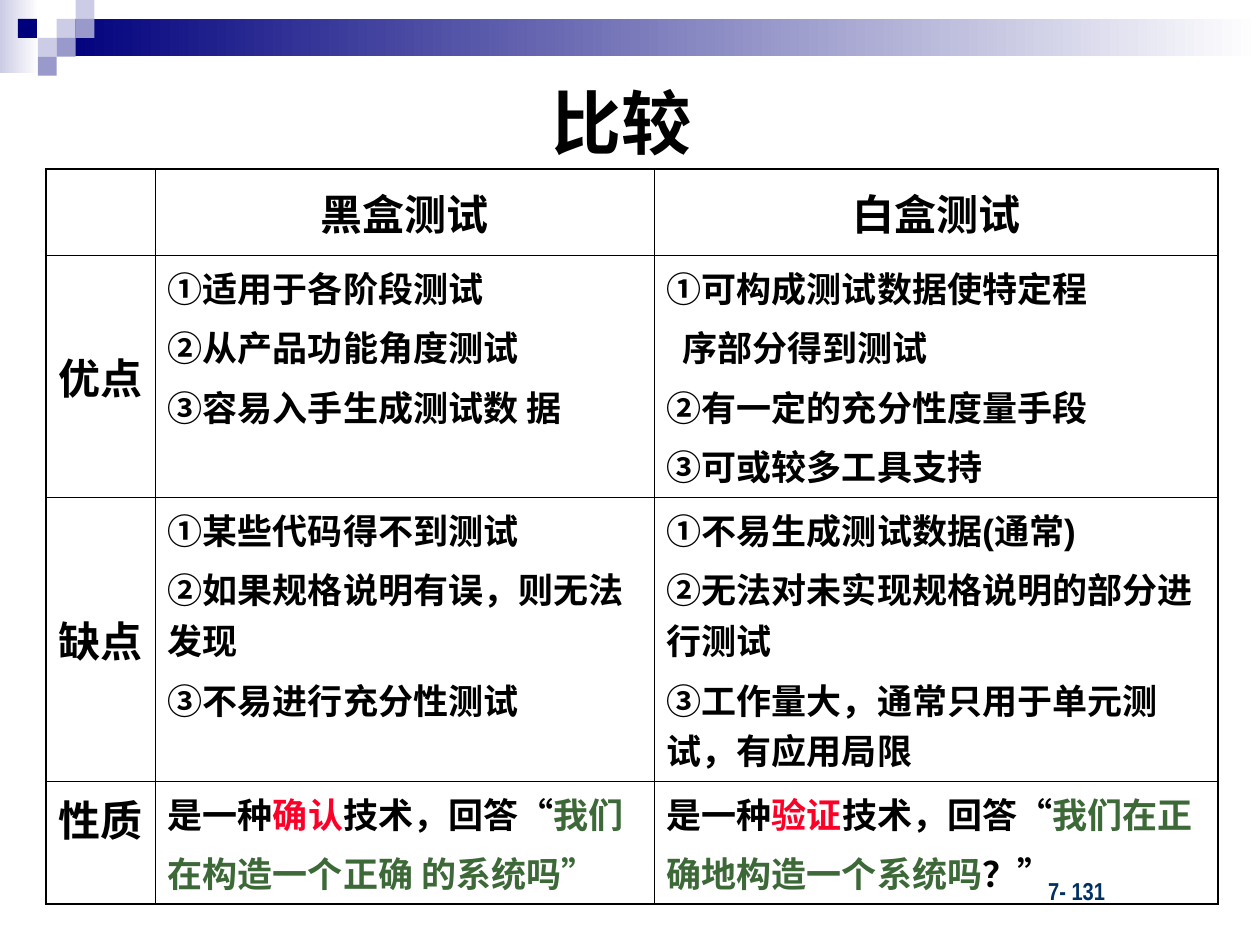
"""Build a slide comparing black-box and white-box testing in a table."""
import pptx
import pptx.dml.color
import pptx.enum.dml
import pptx.enum.shapes
import pptx.enum.text
import pptx.oxml
import pptx.oxml.ns
import pptx.util
from dataclasses import dataclass

Pt = pptx.util.Pt
Align = pptx.enum.text.PP_ALIGN
Anchor = pptx.enum.text.MSO_ANCHOR


@dataclass(frozen=True)
class Theme:
    """Colours, fonts and type sizes."""
    black: str = "000000"
    white: str = "FFFFFF"
    red: str = "FC0128"
    green: str = "3C6937"
    navy: str = "00007D"
    mid: str = "9999CC"
    pale: str = "CCCCE6"
    page: str = "003162"
    font: str = "Arial"
    thin: str = "Arial Narrow"
    title: int = 40
    head: int = 24
    body: int = 20
    foot: int = 14


LOOK = Theme()
TITLE = "比较"
PAGE = "7- 131"
INDENT = "序部分得到测试"
HEADS = ["", "黑盒测试", "白盒测试"]
ROWS = [
    ("优点",
     ["①适用于各阶段测试", "②从产品功能角度测试", "③容易入手生成测试数 据"],
     ["①可构成测试数据使特定程", INDENT, "②有一定的充分性度量手段",
      "③可或较多工具支持"]),
    ("缺点",
     ["①某些代码得不到测试", "②如果规格说明有误，则无法发现", "③不易进行充分性测试"],
     ["①不易生成测试数据(通常)", "②无法对未实现规格说明的部分进行测试",
      "③工作量大，通常只用于单元测试，有应用局限"]),
    ("性质",
     [[("是一种", LOOK.black), ("确认", LOOK.red), ("技术，回答“", LOOK.black),
       ("我们", LOOK.green)],
      [("在构造一个正确 的系统吗”", LOOK.green)]],
     [[("是一种", LOOK.black), ("验证", LOOK.red), ("技术，回答“", LOOK.black),
       ("我们在正", LOOK.green)],
      [("确地构造一个系统吗", LOOK.green), ("？”", LOOK.black)]]),
]
WIDTHS = [62.5, 285.12, 322.3]
HEIGHTS = [49.3, 138.3, 162.3, 70.2]
UNIT = 10.8
BANDS = [((0, 0, 22.3, 41.8), LOOK.pale), ((32.4, 10.8, 687.6, 21.4), LOOK.navy)]
TILES = [(3, 1, LOOK.pale), (4, 0, LOOK.pale), (4, 1, LOOK.mid), (2, 2, LOOK.pale),
         (0.95, 1, LOOK.navy), (3, 2, LOOK.mid), (2, 3, LOOK.mid)]


def tint(code):
    return pptx.dml.color.RGBColor.from_string(code)


def apply(item, values):
    for name, value in values.items():
        setattr(item, name, value)


def write(para, runs, size, font=LOOK.font):
    for text, hue in runs:
        run = para.add_run()
        run.text = text
        apply(run.font, {"size": Pt(size), "name": font, "bold": True})
        run.font.color.rgb = tint(hue)


def block(slide, box):
    shape = slide.shapes.add_shape(
        pptx.enum.shapes.MSO_SHAPE.RECTANGLE, *map(Pt, box))
    shape.shadow.inherit = False
    shape.line.fill.background()
    return shape


def banner(slide):
    for box, hue in BANDS:
        fill = block(slide, box).fill
        fill.gradient()
        fill.gradient_angle = 180
        for stop, code, place in zip(fill.gradient_stops, (LOOK.white, hue), (0, 1)):
            stop.color.rgb = tint(code)
            stop.position = place
    for col, row, hue in TILES:
        fill = block(slide, (col * UNIT, row * UNIT, UNIT, UNIT)).fill
        fill.solid()
        fill.fore_color.rgb = tint(hue)


def footer(slide):
    frame = slide.shapes.add_textbox(Pt(524.2), Pt(496.8), Pt(149.8), Pt(23.8)).text_frame
    apply(frame, {"word_wrap": True, "margin_left": Pt(74.7)})
    write(frame.paragraphs[0], [(PAGE, LOOK.page)], LOOK.foot, LOOK.thin)


def heading(slide):
    title = slide.shapes.title
    apply(title, {"left": Pt(31), "top": Pt(26.4), "width": Pt(648), "height": Pt(86.4)})
    apply(title.text_frame, {"vertical_anchor": Anchor.MIDDLE, "word_wrap": True,
                             "auto_size": pptx.enum.text.MSO_AUTO_SIZE.NONE})
    para = title.text_frame.paragraphs[0]
    para.alignment = Align.CENTER
    write(para, [(TITLE, LOOK.black)], LOOK.title)


def border(cell, outer):
    space = pptx.oxml.ns.nsdecls("a")
    props = cell._tc.get_or_add_tcPr()
    for side in "LRTB":
        width = Pt(1.08 if side in outer else 0.45)
        props.append(pptx.oxml.parse_xml(
            f'<a:ln{side} {space} w="{width}"><a:solidFill>'
            f'<a:srgbClr val="{LOOK.black}"/></a:solidFill></a:ln{side}>'))


def fill_cell(cell, paras, row, col):
    label = row == 0 or col == 0
    last = len(HEIGHTS) - 1
    middle = label and row < last
    cell.vertical_anchor = Anchor.MIDDLE if middle else Anchor.TOP
    for spot, item in enumerate(paras):
        frame = cell.text_frame
        para = frame.paragraphs[0] if spot == 0 else frame.add_paragraph()
        apply(para, {"space_before": Pt(6 if label else 5),
                     "alignment": Align.CENTER if row == 0 else Align.LEFT})
        props = para._p.get_or_add_pPr()
        props.set("hangingPunct", "0")
        if item == INDENT:
            props.set("marL", str(Pt(9)))
        runs = [(item, LOOK.black)] if isinstance(item, str) else item
        write(para, runs, LOOK.head if label else LOOK.body)
    edges = {"L": col == 0, "R": col == len(WIDTHS) - 1, "T": row == 0, "B": row == last}
    border(cell, [side for side, hit in edges.items() if hit])
    cell.fill.background()


def grid(slide):
    table = slide.shapes.add_table(
        len(HEIGHTS), len(WIDTHS), Pt(26.2), Pt(96.6),
        Pt(sum(WIDTHS)), Pt(sum(HEIGHTS))).table
    apply(table, {"first_row": False, "horz_banding": False})
    for column, width in zip(table.columns, WIDTHS):
        column.width = Pt(width)
    for row, height in zip(table.rows, HEIGHTS):
        row.height = Pt(height)
    for row, line in enumerate([HEADS, *ROWS]):
        for col, item in enumerate(line):
            paras = [item] if isinstance(item, str) else item
            fill_cell(table.cell(row, col), paras if item else [], row, col)


def main():
    deck = pptx.Presentation()
    apply(deck, {"slide_width": Pt(720), "slide_height": Pt(540)})
    slide = deck.slides.add_slide(deck.slide_layouts.get_by_name("Title Only"))
    banner(slide)
    footer(slide)
    heading(slide)
    grid(slide)
    deck.save("out.pptx")


if __name__ == "__main__":
    main()
